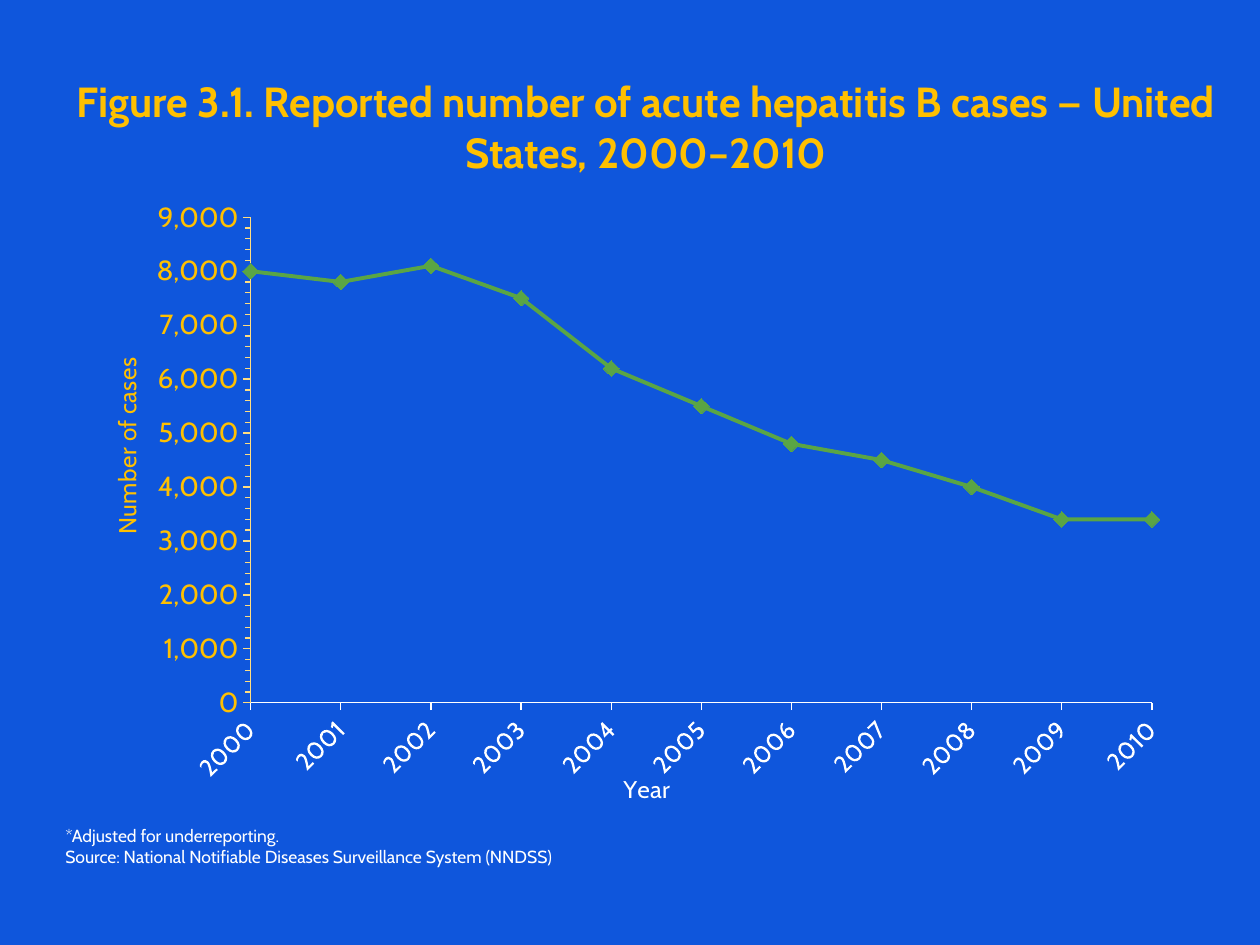
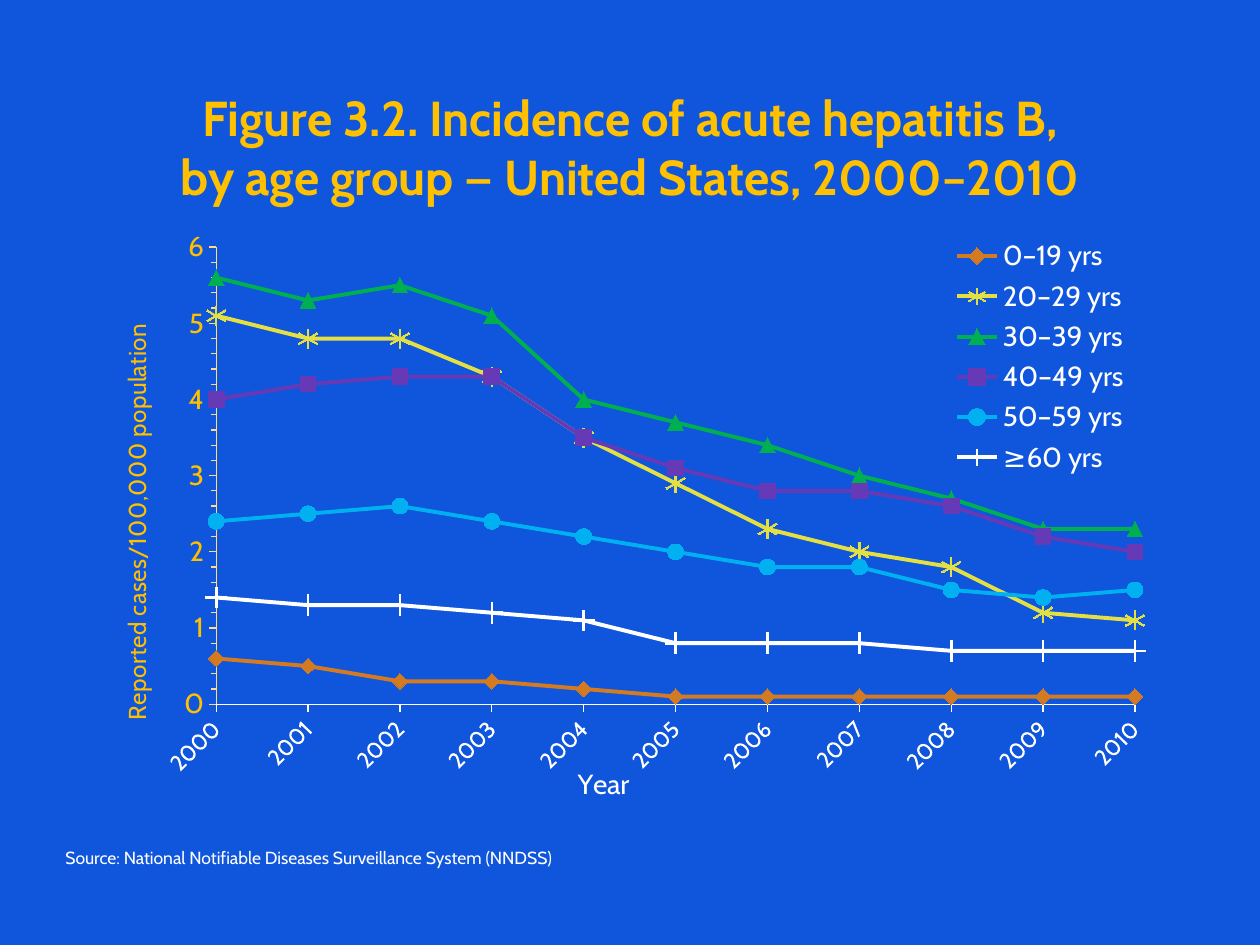
from lxml import etree
from pptx import Presentation
from pptx.chart.data import CategoryChartData
from pptx.dml.color import RGBColor
from pptx.enum.chart import XL_CHART_TYPE, XL_LEGEND_POSITION, XL_MARKER_STYLE, XL_TICK_MARK
from pptx.enum.text import MSO_ANCHOR, PP_ALIGN
from pptx.oxml.ns import qn
from pptx.util import Inches, Pt

LINE_MARKERS = XL_CHART_TYPE.LINE_MARKERS
LEGEND_RIGHT = XL_LEGEND_POSITION.RIGHT
OUTSIDE = XL_TICK_MARK.OUTSIDE
DIAMOND, STAR, TRIANGLE = XL_MARKER_STYLE.DIAMOND, XL_MARKER_STYLE.STAR, XL_MARKER_STYLE.TRIANGLE
SQUARE, CIRCLE, PLUS = XL_MARKER_STYLE.SQUARE, XL_MARKER_STYLE.CIRCLE, XL_MARKER_STYLE.PLUS
MIDDLE, CENTER = MSO_ANCHOR.MIDDLE, PP_ALIGN.CENTER

FONT = "Cabin"
BLUE, GOLD, WHITE, PALE_GOLD = "0F56DC", "FFC000", "FFFFFF", "FFDD80"
YEARS = [str(year) for year in range(2000, 2011)]
SOURCE = "Source: National Notifiable Diseases Surveillance System (NNDSS)"

FIGURES = [
    {
        "title": ["Figure 3.1. Reported number of acute hepatitis B cases — United States, 2000–2010"],
        "title_box": (0.25, 0.5, 9.75, 1), "title_size": 24,
        "chart_box": (0.75, 1.5, 8.67, 4.95), "plot": (0.143, 0.046, 0.825, 0.788),
        "value_title": "Number of cases", "value_title_at": (0.01, 0.27),
        "year_title_at": (0.48, 0.94), "year_title_size": 14,
        "value_size": 16, "year_size": 14,
        "maximum": 9000, "step": 1000, "format": "#,##0", "legend": None,
        "series": [
            ("Series 1", "5AA545", DIAMOND, 9,
             [8000, 7800, 8100, 7500, 6200, 5500, 4800, 4500, 4000, 3400, 3400]),
        ],
        "footer": ["*Adjusted for underreporting.", SOURCE], "footer_box": (0.42, 6.5, 8.17, 0.44),
    },
    {
        "title": ["Figure 3.2. Incidence of acute hepatitis B,", "by age group — United States, 2000–2010"],
        "title_box": (0.5, 0.58, 9, 1.17), "title_size": 28,
        "chart_box": (0.83, 1.75, 8.44, 4.67), "plot": (0.105, 0.046, 0.864, 0.788),
        "value_title": "Reported cases/100,000 population", "value_title_at": (0.01, 0.18),
        "year_title_at": (0.44, 0.93), "year_title_size": 16,
        "value_size": 16, "year_size": 13,
        "maximum": 6, "step": 1, "format": "General", "legend": (0.77, 0.02, 0.22, 0.43),
        "series": [
            ("0–19 yrs", "D47B22", DIAMOND, 9, [0.6, 0.5, 0.3, 0.3, 0.2, 0.1, 0.1, 0.1, 0.1, 0.1, 0.1]),
            ("20–29 yrs", "E4E044", STAR, 11, [5.1, 4.8, 4.8, 4.3, 3.5, 2.9, 2.3, 2, 1.8, 1.2, 1.1]),
            ("30–39 yrs", "00B050", TRIANGLE, 9, [5.6, 5.3, 5.5, 5.1, 4, 3.7, 3.4, 3, 2.7, 2.3, 2.3]),
            ("40–49 yrs", "6639B7", SQUARE, 9, [4, 4.2, 4.3, 4.3, 3.5, 3.1, 2.8, 2.8, 2.6, 2.2, 2]),
            ("50–59 yrs", "00B0F0", CIRCLE, 9, [2.4, 2.5, 2.6, 2.4, 2.2, 2, 1.8, 1.8, 1.5, 1.4, 1.5]),
            ("≥60 yrs", WHITE, PLUS, 12, [1.4, 1.3, 1.3, 1.2, 1.1, 0.8, 0.8, 0.8, 0.7, 0.7, 0.7]),
        ],
        "footer": [SOURCE], "footer_box": (0.42, 6.67, 9.08, 0.27),
    },
]


def style(font, size, color, bold=False):
    font.name = FONT
    font.size = Pt(size)
    font.bold = bold
    font.color.rgb = RGBColor.from_string(color)


def set_layout(element, index, position, inner=False):
    for previous in element.findall(qn("c:layout")):
        element.remove(previous)
    layout = etree.Element(qn("c:layout"))
    manual = etree.SubElement(layout, qn("c:manualLayout"))
    if inner:
        etree.SubElement(manual, qn("c:layoutTarget")).set("val", "inner")
    for name in ("xMode", "yMode"):
        etree.SubElement(manual, qn(f"c:{name}")).set("val", "edge")
    for name, value in zip("xywh", position):
        etree.SubElement(manual, qn(f"c:{name}")).set("val", str(value))
    element.insert(index, layout)


presentation = Presentation()
presentation.slide_width = Inches(10)
presentation.slide_height = Inches(7.5)
background = presentation.slide_master.background.fill
background.solid()
background.fore_color.rgb = RGBColor.from_string(BLUE)
title_only = presentation.slide_layouts[5]

for figure in FIGURES:
    slide = presentation.slides.add_slide(title_only)
    title = slide.shapes.title
    title.left, title.top, title.width, title.height = map(Inches, figure["title_box"])

    chart_data = CategoryChartData()
    chart_data.categories = YEARS
    for name, color, marker, size, values in figure["series"]:
        chart_data.add_series(name, values)
    chart = slide.shapes.add_chart(LINE_MARKERS, *map(Inches, figure["chart_box"]), chart_data).chart
    chart.has_title = False
    style(chart.font, 16, GOLD)
    set_layout(chart.plots[0]._element.getparent(), 0, figure["plot"], inner=True)

    for series, (name, color, marker, size, values) in zip(chart.plots[0].series, figure["series"]):
        rgb = RGBColor.from_string(color)
        series.smooth = False
        series.format.line.width = Pt(2.25)
        series.format.line.color.rgb = rgb
        series.marker.style = marker
        series.marker.size = size
        series.marker.format.line.color.rgb = rgb
        if marker in (STAR, PLUS):
            series.marker.format.fill.background()
        else:
            series.marker.format.fill.solid()
            series.marker.format.fill.fore_color.rgb = rgb

    year_axis, value_axis = chart.category_axis, chart.value_axis
    axes = [
        (year_axis, "Year", figure["year_title_size"], figure["year_title_at"], figure["year_size"], WHITE, WHITE),
        (value_axis, figure["value_title"], 14, figure["value_title_at"], figure["value_size"], GOLD, PALE_GOLD),
    ]
    for axis, text, title_size, position, label_size, color, line_color in axes:
        axis.has_major_gridlines = False
        axis.major_tick_mark = OUTSIDE
        axis.format.line.width = Pt(0.75)
        axis.format.line.color.rgb = RGBColor.from_string(line_color)
        style(axis.tick_labels.font, label_size, color)
        run = axis.axis_title.text_frame.paragraphs[0].add_run()
        run.text = text
        style(run.font, title_size, color)
        set_layout(axis.axis_title._element, 1, position)

    year_axis._element.find(qn("c:txPr")).find(qn("a:bodyPr")).set("rot", "-2700000")
    value_axis.axis_title.text_frame._txBody.bodyPr.set("rot", "-5400000")
    value_axis.minor_tick_mark = OUTSIDE
    value_axis.minimum_scale = 0
    value_axis.maximum_scale = figure["maximum"]
    value_axis.major_unit = figure["step"]
    value_axis.minor_unit = figure["step"] / 5
    value_axis.tick_labels.number_format = figure["format"]
    value_axis.tick_labels.number_format_is_linked = False
    crossing = etree.Element(qn("c:crossBetween"))
    crossing.set("val", "midCat")
    value_axis._element.find(qn("c:crosses")).addnext(crossing)

    chart.has_legend = figure["legend"] is not None
    if chart.has_legend:
        chart.legend.position = LEGEND_RIGHT
        chart.legend.include_in_layout = False
        style(chart.legend.font, 16, WHITE)
        set_layout(chart.legend._element, 1, figure["legend"])

    footer = slide.shapes.add_textbox(*map(Inches, figure["footer_box"]))
    texts = [
        (title, figure["title"], figure["title_size"], GOLD, True),
        (footer, figure["footer"], 10, WHITE, False),
    ]
    for shape, lines, size, color, bold in texts:
        shape.text_frame.word_wrap = True
        paragraph = shape.text_frame.paragraphs[0]
        for number, line in enumerate(lines):
            if number:
                paragraph.add_line_break()
            run = paragraph.add_run()
            run.text = line
            style(run.font, size, color, bold)
    title.text_frame.vertical_anchor = MIDDLE
    title.text_frame.paragraphs[0].alignment = CENTER

presentation.save("out.pptx")
